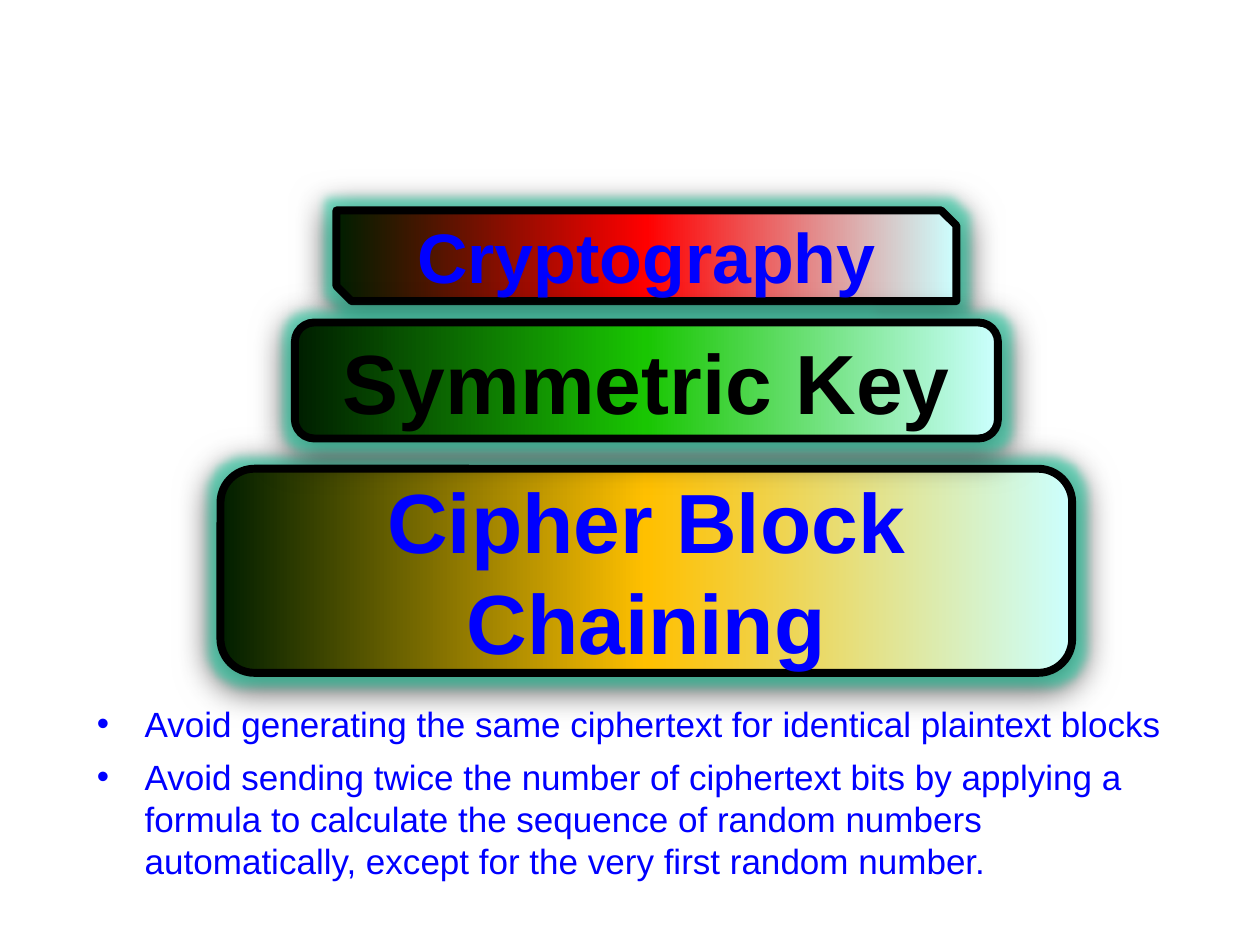
from copy import deepcopy

from lxml import etree
from pptx import Presentation
from pptx.dml.color import RGBColor
from pptx.enum.shapes import MSO_SHAPE
from pptx.enum.text import MSO_ANCHOR, MSO_AUTO_SIZE, PP_ALIGN
from pptx.oxml import parse_xml
from pptx.oxml.ns import qn
from pptx.util import Inches, Pt

SNIPPED = MSO_SHAPE.SNIP_2_DIAG_RECTANGLE
ROUNDED = MSO_SHAPE.ROUNDED_RECTANGLE
CENTER, LEFT = PP_ALIGN.CENTER, PP_ALIGN.LEFT
MIDDLE, TOP = MSO_ANCHOR.MIDDLE, MSO_ANCHOR.TOP
GROW = MSO_AUTO_SIZE.SHAPE_TO_FIT_TEXT

SLIDE_WIDTH, SLIDE_HEIGHT = 10, 7.5
STACK_CENTER = 5.13
BULLET_LEFT, BULLET_WIDTH = 0.67, 8.71
BULLET_INDENT = 0.38
BLUE, BLACK, WHITE = "0000FF", "000000", "FFFFFF"
DARK_EDGE, LIGHT_EDGE = "001E00", "CCFFFF"
GLOW = "2FD3AA"
NAMESPACE = "http://schemas.openxmlformats.org/drawingml/2006/main"

BANNERS = [
    ("Cryptography", SNIPPED, 1.67, 4.92, 0.72, "FF0000", 40, BLUE),
    ("Cipher Block Chaining", ROUNDED, 3.72, 6.76, 1.62, "FFC000", 48, BLUE),
    ("Symmetric Key", ROUNDED, 2.56, 5.58, 0.92, "19C602", 48, BLACK),
]
BULLETS = [
    ("Avoid generating the same ciphertext for identical plaintext blocks",
     5.53, 0.44, False),
    ("Avoid sending twice the number of ciphertext bits by applying a formula "
     "to calculate the sequence of random numbers automatically, except for "
     "the very first random number.", 5.95, 1.11, True),
]


def color(value):
    return RGBColor.from_string(value)


def drawing_element(content):
    return parse_xml(content.replace(">", f' xmlns:a="{NAMESPACE}">', 1))


def set_text(shape, text, size=20, font_color=BLUE, bold=False, align=LEFT,
             anchor=TOP, wrap=True, bullet=False, outline=None):
    frame = shape.text_frame
    frame.word_wrap = wrap
    frame.vertical_anchor = anchor
    paragraph = frame.paragraphs[0]
    paragraph.alignment = align
    if bullet:
        properties = paragraph._p.get_or_add_pPr()
        properties.set("marL", str(Inches(BULLET_INDENT)))
        properties.set("indent", str(-Inches(BULLET_INDENT)))
        etree.SubElement(properties, qn("a:buFont"), typeface="Arial")
        etree.SubElement(properties, qn("a:buChar"), char="•")
    run = paragraph.add_run()
    run.text = text
    run.font.name = "Arial"
    run.font.size = Pt(size)
    run.font.bold = bold
    run.font.color.rgb = color(font_color)
    if outline:
        run._r.get_or_add_rPr().insert(0, drawing_element(
            f'<a:ln w="{Pt(1.45)}"><a:solidFill><a:srgbClr val="{outline}"/>'
            '</a:solidFill></a:ln>'))


def set_gradient(shape, middle_color):
    shape.fill.gradient()
    shape.fill.gradient_angle = 0
    stop_list = shape._element.spPr.find(".//" + qn("a:gsLst"))
    stop_list.insert(1, deepcopy(stop_list[0]))
    colors = (DARK_EDGE, middle_color, LIGHT_EDGE)
    for index, (stop, value) in enumerate(zip(shape.fill.gradient_stops, colors)):
        stop.position = index / 2
        stop.color.rgb = color(value)


def add_glow_and_shadow(shape):
    shape.shadow.inherit = False
    effects = shape._element.spPr.find(qn("a:effectLst"))
    effects.append(drawing_element(
        f'<a:glow rad="{Pt(10)}"><a:srgbClr val="{GLOW}">'
        '<a:alpha val="60000"/></a:srgbClr></a:glow>'))
    effects.append(drawing_element(
        f'<a:outerShdw blurRad="{Pt(19)}" dist="{Pt(4)}" dir="5400000" '
        f'algn="ctr" rotWithShape="0"><a:srgbClr val="{BLACK}">'
        '<a:alpha val="74000"/></a:srgbClr></a:outerShdw>'))


def add_banner(slide, text, outline_shape, top, width, height, middle_color,
               size, font_color):
    shape = slide.shapes.add_shape(
        outline_shape, Inches(STACK_CENTER - width / 2), Inches(top),
        Inches(width), Inches(height))
    set_gradient(shape, middle_color)
    shape.line.color.rgb = color(BLACK)
    shape.line.width = Pt(4.5)
    add_glow_and_shadow(shape)
    set_text(shape, text, size=size, font_color=font_color, bold=True,
             align=CENTER, anchor=MIDDLE, outline=WHITE)


def add_bullet(slide, text, top, height, wrap):
    shape = slide.shapes.add_textbox(
        Inches(BULLET_LEFT), Inches(top), Inches(BULLET_WIDTH), Inches(height))
    set_text(shape, text, wrap=wrap, bullet=True)
    shape.text_frame.auto_size = GROW


def main():
    presentation = Presentation()
    presentation.slide_width = Inches(SLIDE_WIDTH)
    presentation.slide_height = Inches(SLIDE_HEIGHT)
    slide = presentation.slides.add_slide(presentation.slide_layouts[6])
    for banner in BANNERS:
        add_banner(slide, *banner)
    for bullet in BULLETS:
        add_bullet(slide, *bullet)
    presentation.save("out.pptx")


if __name__ == "__main__":
    main()
